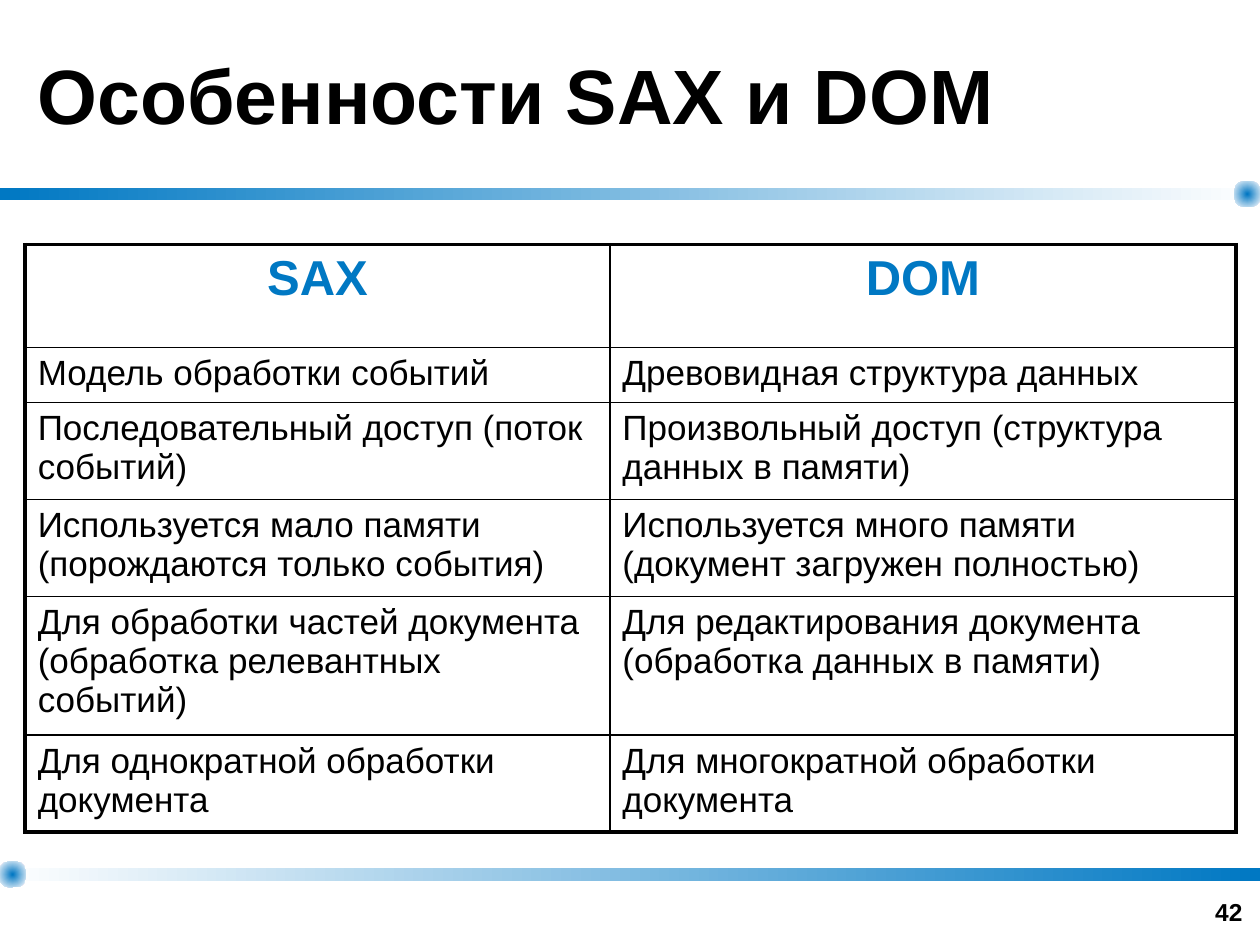
from lxml.etree import SubElement
from pptx import Presentation
from pptx.dml.color import RGBColor
from pptx.enum.shapes import MSO_SHAPE as Shape
from pptx.enum.text import MSO_ANCHOR as Anchor, PP_ALIGN as Align
from pptx.oxml.ns import qn
from pptx.util import Inches, Pt

BLUE = RGBColor(0x00, 0x78, 0xC3)
WHITE = RGBColor(0xFF, 0xFF, 0xFF)
BLACK = RGBColor(0x00, 0x00, 0x00)
THICK, THIN = 2.25, 1

COLS = [4.64, 4.97]
ROWS = [
    (0.82, "SAX", "DOM"),
    (0.43, "Модель обработки событий", "Древовидная структура данных"),
    (0.77, "Последовательный доступ (поток событий)",
     "Произвольный доступ (структура данных в памяти)"),
    (0.77, "Используется мало памяти (порождаются только события)",
     "Используется много памяти (документ загружен полностью)"),
    (1.1, "Для обработки частей документа (обработка релевантных событий)",
     "Для редактирования документа (обработка данных в памяти)"),
    (0.77, "Для однократной обработки документа",
     "Для многократной обработки документа"),
]


def write(frame, text, size, color=BLACK, bold=False, align=Align.LEFT):
    frame.word_wrap = True
    para = frame.paragraphs[0]
    para.alignment = align
    run = para.add_run()
    run.text = text
    font = run.font
    font.name, font.size, font.bold = "Arial", Pt(size), bold
    font.color.rgb = color


def add_fade(slide, kind, box, start, end):
    shape = slide.shapes.add_shape(kind, *map(Inches, box))
    shape.shadow.inherit = False
    shape.line.fill.background()
    shape.fill.gradient()
    shape.fill.gradient_angle = 0
    for stop, color in zip(shape.fill.gradient_stops, (start, end)):
        stop.color.rgb = color
    return shape


def add_dot(slide, left, top):
    dot = add_fade(slide, Shape.ROUNDED_RECTANGLE, (left, top, 0.2, 0.2), BLUE, WHITE)
    dot.adjustments[0] = 0.32
    grad = dot.element.spPr.find(qn("a:gradFill"))
    grad.remove(grad.find(qn("a:lin")))
    ring = SubElement(grad, qn("a:path"), {"path": "circle"})
    SubElement(ring, qn("a:fillToRect"), {side: "50000" for side in "ltrb"})


def add_title(slide, text):
    title = slide.shapes.title
    title.left, title.top = Inches(0.2), Inches(0)
    title.width, title.height = Inches(9.6), Inches(1.49)
    title.text_frame.vertical_anchor = Anchor.MIDDLE
    write(title.text_frame, text, 44, bold=True)


def add_number(slide, text):
    box = slide.shapes.add_textbox(Inches(7.63), Inches(6.9), Inches(2.33), Inches(0.5))
    box.text_frame.vertical_anchor = Anchor.BOTTOM
    write(box.text_frame, text, 14, bold=True, align=Align.RIGHT)


def set_edge(cell, side, width):
    props = cell._tc.get_or_add_tcPr()
    line = SubElement(props, qn(f"a:ln{side}"), {"w": str(Pt(width))})
    fill = SubElement(line, qn("a:solidFill"))
    SubElement(fill, qn("a:srgbClr"), {"val": str(BLACK)})


def add_grid(slide):
    high = sum(row[0] for row in ROWS)
    frame = slide.shapes.add_table(len(ROWS), len(COLS), Inches(0.2), Inches(1.94),
                                   Inches(sum(COLS)), Inches(high))
    table = frame.table
    table.first_row = table.horz_banding = False
    for col, width in zip(table.columns, COLS):
        col.width = Inches(width)
    for r, (height, *texts) in enumerate(ROWS):
        table.rows[r].height = Inches(height)
        for c, text in enumerate(texts):
            cell = table.cell(r, c)
            outer = {"L": c == 0, "R": c == len(COLS) - 1,
                     "T": r == 0, "B": r == len(ROWS) - 1}
            for side, edge in outer.items():
                set_edge(cell, side, THICK if edge else THIN)
            cell.fill.background()
            if r == 0:
                write(cell.text_frame, text, 28, BLUE, True, Align.CENTER)
            else:
                write(cell.text_frame, text, 20)


def main():
    deck = Presentation()
    deck.slide_width, deck.slide_height = Inches(10), Inches(7.5)
    slide = deck.slides.add_slide(deck.slide_layouts[5])
    add_fade(slide, Shape.RECTANGLE, (0, 1.49, 10, 0.1), BLUE, WHITE)
    add_fade(slide, Shape.RECTANGLE, (0, 6.89, 10, 0.1), WHITE, BLUE)
    add_dot(slide, 9.8, 1.44)
    add_dot(slide, 0, 6.84)
    add_number(slide, "42")
    add_title(slide, "Особенности SAX и DOM")
    add_grid(slide)
    deck.save("out.pptx")


if __name__ == "__main__":
    main()
